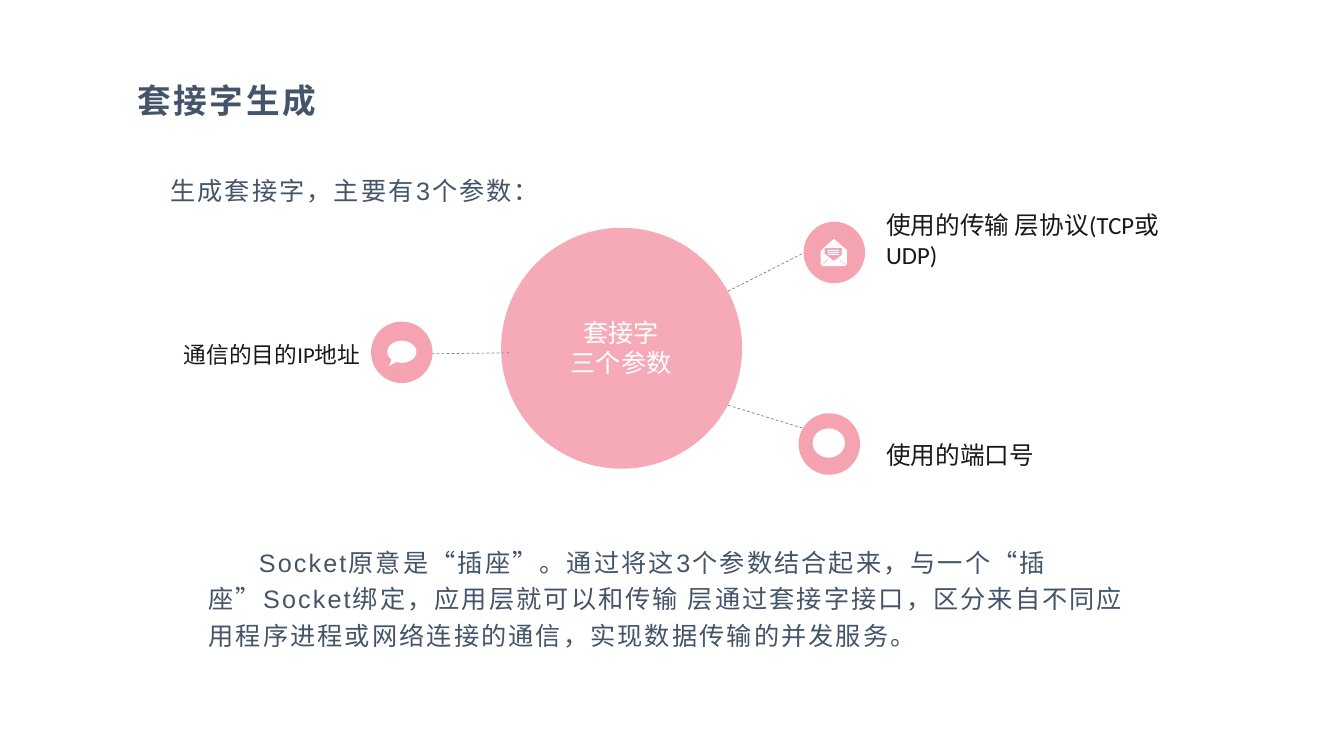
from pptx import Presentation
from pptx.dml.color import RGBColor
from pptx.enum.dml import MSO_LINE
from pptx.enum.shapes import MSO_CONNECTOR, MSO_SHAPE
from pptx.enum.text import MSO_ANCHOR, PP_ALIGN
from pptx.oxml.ns import qn
from pptx.util import Inches, Pt
from lxml.etree import SubElement

PINK = RGBColor(0xF6, 0xA3, 0xB1)
WHITE = RGBColor(0xFF, 0xFF, 0xFF)
GRAY = RGBColor(0x80, 0x80, 0x80)
INK = RGBColor(0x19, 0x19, 0x19)
SLATE = RGBColor(0x44, 0x54, 0x6A)

CELL = Inches(0.1)  # side of one grid cell
FINE = 10           # outline steps in one cell
DISC = 6.1          # diameter of an icon disc, in cells


def grid(*cells):
    return [round(cell * CELL) for cell in cells]


class Board:
    """Draws on one slide; all lengths are grid columns and rows."""

    def __init__(self, slide):
        self.slide = slide
        self.shapes = slide.shapes

    def paint(self, shape, color):
        shape.shadow.inherit = False
        shape.fill.solid()
        shape.fill.fore_color.rgb = color
        shape.line.fill.background()
        return shape

    def shape(self, kind, box, color):
        return self.paint(self.shapes.add_shape(kind, *grid(*box)), color)

    def fade(self, shape, share):
        color = shape.fill._xPr.find(qn("a:solidFill"))[0]
        SubElement(color, qn("a:alpha"), val=str(share * 1000))

    def outline(self, left, top, loops, color):
        first, *rest = loops
        pen = self.shapes.build_freeform(*first[0], scale=CELL / FINE)
        pen.add_line_segments(first[1:])
        for loop in rest:
            pen.move_to(*loop[0])
            pen.add_line_segments(loop[1:])
        self.paint(pen.convert_to_shape(*grid(left, top)), color)

    def link(self, *ends):
        line = self.shapes.add_connector(MSO_CONNECTOR.STRAIGHT, *grid(*ends))
        line.line.color.rgb = GRAY
        line.line.width = Pt(0.5)
        line.line.dash_style = MSO_LINE.DASH
        SubElement(line._element.spPr, qn("a:effectLst"))

    def style(self, frame, text, size, color, font, align, anchor, gap=0, bold=False):
        frame.word_wrap = True
        frame.vertical_anchor = anchor
        frame.text = text
        for para in frame.paragraphs:
            para.alignment = align
            for run in para.runs:
                run.font.size = Pt(size)
                run.font.name = font
                run.font.bold = bold
                run.font.color.rgb = color
                if gap:
                    run._r.get_or_add_rPr().set("spc", str(round(gap * 100)))

    def title(self, box, text):
        head = self.shapes.title
        head.left, head.top, head.width, head.height = grid(*box)
        frame = head.text_frame
        frame.margin_left, frame.margin_right = Inches(0.11), Inches(0.08)
        frame.margin_top = frame.margin_bottom = Inches(0.04)
        self.style(frame, text, 24, SLATE, "Arial", PP_ALIGN.LEFT,
                   MSO_ANCHOR.TOP, gap=2, bold=True)

    def label(self, box, text, size, color=INK, align=PP_ALIGN.LEFT):
        frame = self.shapes.add_textbox(*grid(*box)).text_frame
        self.style(frame, text, size, color, "Calibri", align, MSO_ANCHOR.BOTTOM)

    def prose(self, box, text):
        frame = self.shapes.add_textbox(*grid(*box)).text_frame
        self.style(frame, text, 18, SLATE, "Arial", PP_ALIGN.LEFT,
                   MSO_ANCHOR.TOP, gap=1.5)
        return frame.paragraphs[0]


def block(left, top, right, low):
    return [(left, top), (right, top), (right, low), (left, low), (left, top)]


def main():
    deck = Presentation()
    deck.slide_width, deck.slide_height = Inches(13.33), Inches(7.5)
    board = Board(deck.slides.add_slide(deck.slide_layouts[5]))

    # Title and lead
    board.title((12.5, 7.5, 72.3, 4.8), "套接字生成")
    board.prose((15.9, 16.9, 36.4, 4), "生成套接字，主要有3个参数：")

    # Hub, with the right links behind and the left link in front
    board.link(72.2, 40.2, 79.7, 42.5)
    board.link(72.2, 28.9, 79.7, 25.1)
    hub = board.shape(MSO_SHAPE.OVAL, (49.7, 22.6, 23.9, 23.9), PINK)
    board.fade(hub, 92)
    board.link(42.8, 35.1, 50.5, 35)
    board.label((49.1, 31, 25, 7), "套接字\n三个参数", 18, WHITE, PP_ALIGN.CENTER)

    # Icon discs
    for left, top in ((79.7, 22), (79.2, 41), (36.8, 31.9)):
        board.shape(MSO_SHAPE.OVAL, (left, top, DISC, DISC), PINK)

    # Open envelope: body, letter cut-out, text bars, creases
    body = [(13, 0), (26, 11), (26, 25), (24, 27), (2, 27), (0, 25), (0, 12), (13, 0)]
    letter = [(4, 9), (4, 15), (13, 22), (21, 16), (21, 9), (4, 9)]
    bars = [block(7, row, 18, row + 1) for row in (11, 13, 15)]
    folds = [[(2, 26), (8, 20), (7, 20), (2, 25), (2, 26)],
             [(24, 26), (18, 20), (19, 20), (24, 25), (24, 26)]]
    board.outline(81.4, 23.7, [body, letter, *bars, *folds], WHITE)

    # Plain mark and speech bubble
    board.shape(MSO_SHAPE.OVAL, (80.6, 42.5, 3.2, 2.9), WHITE)
    talk = board.shape(MSO_SHAPE.OVAL_CALLOUT, (38.4, 33.8, 2.9, 2.2), WHITE)
    talk.adjustments[0], talk.adjustments[1] = -0.43, 0.64

    # Parameter labels
    board.label((86.9, 20.5, 31, 6.7), "使用的传输 层协议(TCP或UDP)", 17.6)
    board.label((86.9, 43.1, 22.3, 4), "使用的端口号", 17.6)
    board.label((15.9, 31.9, 20.8, 5.1), "通信的目的IP地址", 16.2, align=PP_ALIGN.RIGHT)

    # Closing paragraph
    para = board.prose(
        (19.7, 53.2, 93.1, 11.9),
        "Socket原意是“插座”。通过将这3个参数结合起来，与一个“插座”Socket绑定，"
        "应用层就可以和传输 层通过套接字接口，区分来自不同应用程序进程或网络连接的通信，"
        "实现数据传输的并发服务。")
    para.line_spacing = 1.2
    para.space_after = Pt(10)
    para._p.get_or_add_pPr().set("indent", str(Inches(0.5)))

    deck.save("out.pptx")


if __name__ == "__main__":
    main()
